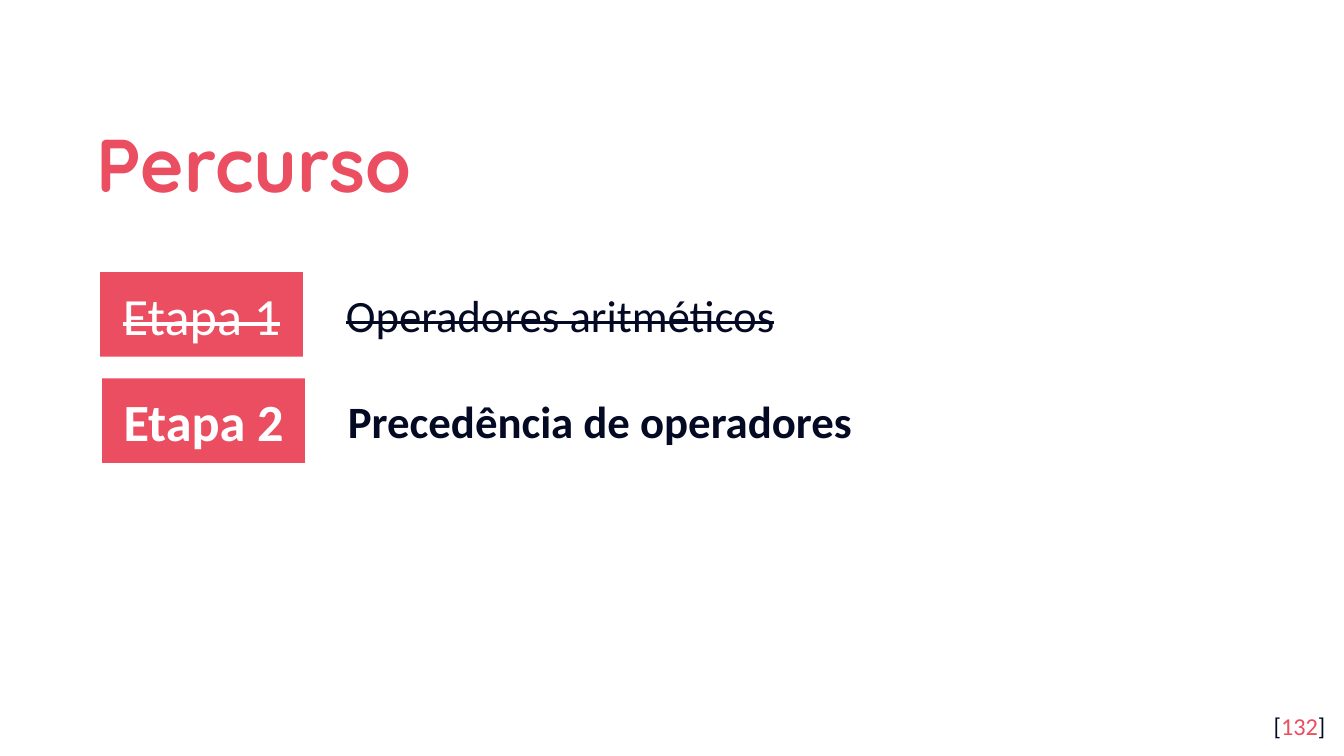
from pptx import Presentation
from pptx.dml.color import RGBColor
from pptx.enum.shapes import MSO_SHAPE
from pptx.enum.text import MSO_ANCHOR, MSO_AUTO_SIZE, PP_ALIGN
from pptx.util import Emu, Pt

PX = 4572
RECTANGLE = MSO_SHAPE.RECTANGLE
TOP, MIDDLE = MSO_ANCHOR.TOP, MSO_ANCHOR.MIDDLE
LEFT, CENTER, RIGHT = PP_ALIGN.LEFT, PP_ALIGN.CENTER, PP_ALIGN.RIGHT
NO_AUTOFIT = MSO_AUTO_SIZE.NONE
COLORS = {"accent": "EA4E60", "ink": "040A24", "paper": "FFFFFF"}
STAGES = [
    ((149, 405, 1696, 126), "Etapa 1", "Operadores aritméticos", True),
    ((152, 563, 1696, 126), "Etapa 2", "Precedência de operadores", False),
]


def px(*lengths):
    """Turn px lengths into EMU."""
    return [Emu(length * PX) for length in lengths]


def color(name):
    """Return a named palette colour."""
    return RGBColor.from_string(COLORS[name])


def apply_format(target, values):
    """Set each attribute of the target from a dict."""
    for name, value in values.items():
        setattr(target, name, value)


def write_text(shape, parts, size, font="Calibri", bold=False, struck=False,
               align=LEFT, anchor=TOP, inset=20, spacing=1.0):
    """Write one paragraph of (text, colour) parts into a shape."""
    side, edge = px(20, inset)
    frame = shape.text_frame
    apply_format(frame, {
        "word_wrap": True, "auto_size": NO_AUTOFIT, "vertical_anchor": anchor,
        "margin_left": side, "margin_right": side,
        "margin_top": edge, "margin_bottom": edge,
    })
    paragraph = frame.paragraphs[0]
    apply_format(paragraph, {"alignment": align, "line_spacing": spacing})
    for text, color_name in parts:
        run = paragraph.add_run()
        run.text = text
        apply_format(run.font, {"name": font, "size": Pt(size), "bold": bold})
        run.font.color.rgb = color(color_name)
        if struck:
            run._r.get_or_add_rPr().set("strike", "sngStrike")


def add_title(slide, box, text):
    """Place and format the slide title."""
    title = slide.shapes.title
    apply_format(title, dict(zip(("left", "top", "width", "height"), px(*box))))
    write_text(title, [(text, "accent")], 40, font="Quicksand", bold=True,
               anchor=MIDDLE, spacing=1.15)


def add_stage(slide, box, label, topic, done):
    """Add a stage tag and its topic, struck out when done."""
    left, top, width, height = box
    tag_width, topic_offset, topic_height = 302, 346, 100
    style = {"bold": not done, "struck": done}
    tag = slide.shapes.add_shape(RECTANGLE, *px(left, top, tag_width, height))
    tag.shadow.inherit = False
    tag.fill.solid()
    tag.fill.fore_color.rgb = color("accent")
    tag.line.fill.background()
    write_text(tag, [(label, "paper")], 28, align=CENTER, anchor=MIDDLE, **style)
    topic_box = slide.shapes.add_textbox(*px(
        left + topic_offset, top + (height - topic_height) // 2,
        width - topic_offset, topic_height))
    write_text(topic_box, [(topic, "ink")], 24, inset=10, **style)


def add_page_number(slide, box, number):
    """Add the bracketed page number."""
    shape = slide.shapes.add_textbox(*px(*box))
    parts = [("[", "ink"), (number, "accent"), ("]", "ink")]
    write_text(shape, parts, 13, align=RIGHT)


def main():
    """Build and save the presentation."""
    presentation = Presentation()
    width, height = px(2000, 1125)
    apply_format(presentation, {"slide_width": width, "slide_height": height})
    slide = presentation.slides.add_slide(presentation.slide_layouts[5])
    slide.background.fill.solid()
    slide.background.fill.fore_color.rgb = color("paper")
    add_title(slide, (124, 140, 1620, 184), "Percurso")
    add_page_number(slide, (1872, 1039, 120, 86), "132")
    for stage in STAGES:
        add_stage(slide, *stage)
    presentation.save("out.pptx")


if __name__ == "__main__":
    main()
